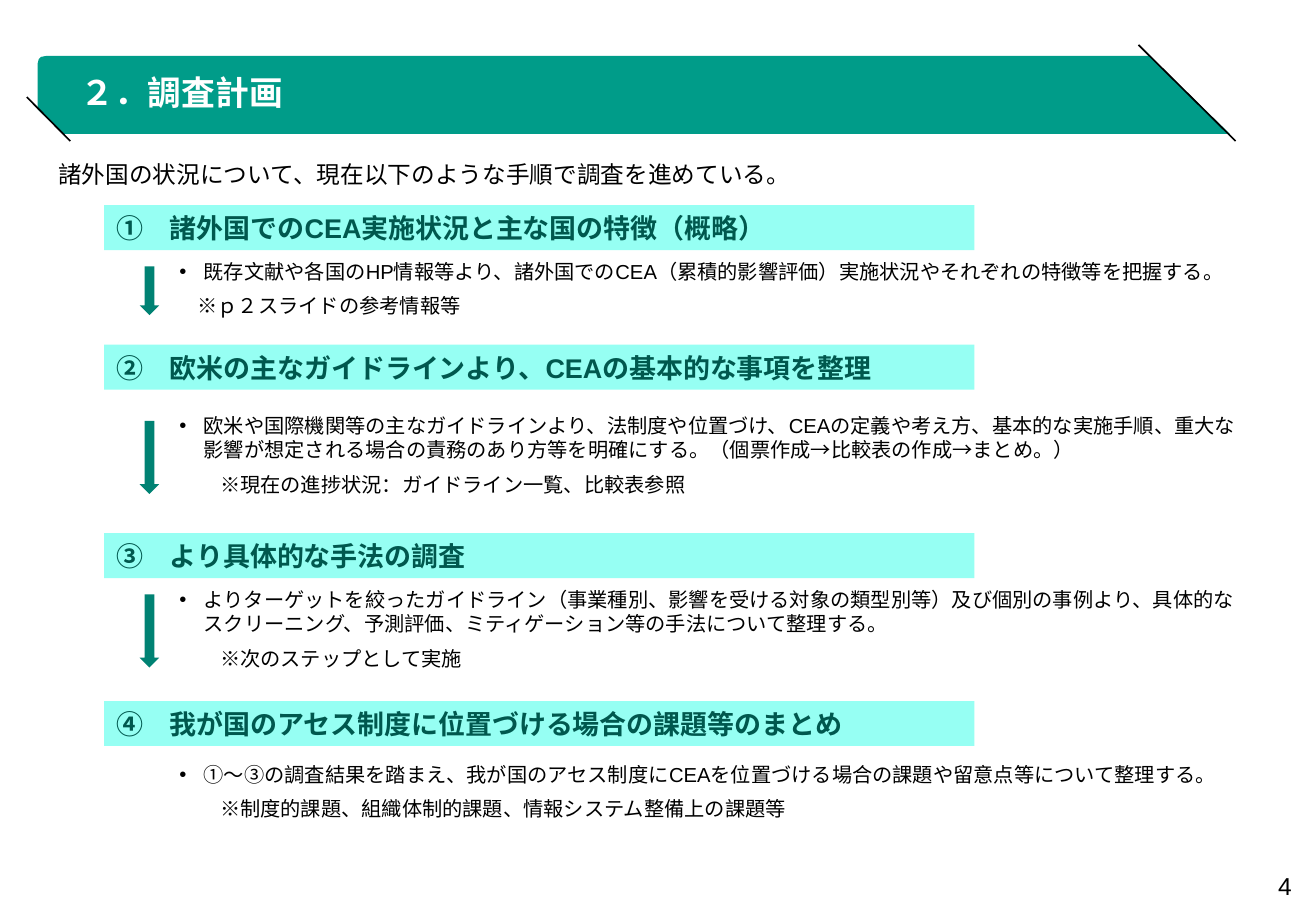
import pptx
import pptx.util
import pptx.dml.color
import pptx.enum.shapes
import pptx.enum.text
import pptx.oxml.ns
from lxml import etree

Cm, Pt = pptx.util.Cm, pptx.util.Pt
MSO_SHAPE = pptx.enum.shapes.MSO_SHAPE
PP_ALIGN = pptx.enum.text.PP_ALIGN
qn = pptx.oxml.ns.qn

COLORS = {"header": "009C89", "band": "96FFF3", "heading": "00584E",
          "arrow": "008273", "text": "000000", "title": "FFFFFF"}
JP_FONT = "Noto Sans CJK JP"
TITLE = {"size": Pt(20), "bold": True, "name": JP_FONT}
LEAD = {"size": Pt(14), "name": "Arial"}
HEADING = {"size": Pt(16), "bold": True, "name": "Arial"}
BODY = {"size": Pt(12), "name": "Arial"}
NUMBER = {"size": Pt(14.5), "name": "Arial"}

BAND_W, BAND_H = 18.19, 0.94
BODY_DX, BODY_W = 1.32, 22.71
ARROW_DX, ARROW_W = 0.74, 0.41
STEPS_LEFT = 2.18

# band top, body top, body height, note indent, heading, body, note
STEPS = [
    (4.29, 5.28, 1.5, 0.38, "①　諸外国でのCEA実施状況と主な国の特徴（概略）",
     "既存文献や各国のHP情報等より、諸外国でのCEA（累積的影響評価）実施状況やそれぞれの特徴等を把握する。",
     "※ｐ２スライドの参考情報等"),
    (7.21, 8.51, 2.01, 0.85, "②　欧米の主なガイドラインより、CEAの基本的な事項を整理",
     "欧米や国際機関等の主なガイドラインより、法制度や位置づけ、CEAの定義や考え方、基本的な実施手順、"
     "重大な影響が想定される場合の責務のあり方等を明確にする。（個票作成→比較表の作成→まとめ。）",
     "※現在の進捗状況：ガイドライン一覧、比較表参照"),
    (11.15, 12.14, 2.01, 0.85, "③　より具体的な手法の調査",
     "よりターゲットを絞ったガイドライン（事業種別、影響を受ける対象の類型別等）及び個別の事例より、"
     "具体的なスクリーニング、予測評価、ミティゲーション等の手法について整理する。",
     "※次のステップとして実施"),
    (14.66, 15.8, 1.5, 0.85, "④　我が国のアセス制度に位置づける場合の課題等のまとめ",
     "①～③の調査結果を踏まえ、我が国のアセス制度にCEAを位置づける場合の課題や留意点等について整理する。",
     "※制度的課題、組織体制的課題、情報システム整備上の課題等"),
]


def rgb(name):
    return pptx.dml.color.RGBColor.from_string(COLORS[name])


def set_frame(sp, **values):
    tf = sp.text_frame
    settings = {"word_wrap": True,
                "vertical_anchor": pptx.enum.text.MSO_ANCHOR.MIDDLE, **values}
    for key, value in settings.items():
        setattr(tf, key, value)
    return tf


def write(p, text, style, color="text", **values):
    for key, value in {"alignment": PP_ALIGN.LEFT, **values}.items():
        setattr(p, key, value)
    r = p.add_run()
    r.text = text
    for key, value in style.items():
        setattr(r.font, key, value)
    r.font.color.rgb = rgb(color)
    ea = etree.SubElement(r.font._element, qn("a:ea"))
    ea.set("typeface", JP_FONT)


def indent(p, left, hanging=0, bullet=None):
    pPr = p._p.get_or_add_pPr()
    pPr.set("marL", str(Cm(left)))
    pPr.set("indent", str(-Cm(hanging)))
    if bullet:
        etree.SubElement(pPr, qn("a:buFont")).set("typeface", "Arial")
        etree.SubElement(pPr, qn("a:buChar")).set("char", bullet)


def paint(sp, color):
    sp.shadow.inherit = False
    sp.fill.solid()
    sp.fill.fore_color.rgb = rgb(color)
    sp.line.fill.background()


def add_box(s, left, top, width, height, **values):
    sp = s.shapes.add_textbox(Cm(left), Cm(top), Cm(width), Cm(height))
    return set_frame(sp, **values)


def add_preset(s, kind, left, top, width, height, color):
    sp = s.shapes.add_shape(kind, Cm(left), Cm(top), Cm(width), Cm(height))
    paint(sp, color)
    return sp


def add_header(s, left, top, width, height):
    """Banner with cut corners, a slash across each cut, and the title."""
    outline = [(0.18, 0), (width - 1.68, 0), (width, height), (0.53, height),
               (0, 1.12), (0, 0.15), (0.02, 0.07), (0.07, 0.02)]
    points = [(Cm(left + x), Cm(top + y)) for x, y in outline]
    builder = s.shapes.build_freeform(*points[0])
    builder.add_line_segments(points[1:], close=True)
    paint(builder.convert_to_shape(), "header")

    for x1, y1, x2, y2 in [(width - 1.91, -0.23, width + 0.12, 1.78),
                           (-0.23, 0.86, 0.68, 1.78)]:
        line = s.shapes.add_connector(
            pptx.enum.shapes.MSO_CONNECTOR.STRAIGHT,
            Cm(left + x1), Cm(top + y1), Cm(left + x2), Cm(top + y2))
        line.line.color.rgb = rgb("text")
        line.line.width = Pt(1)
        etree.SubElement(line._element.spPr, qn("a:effectLst"))

    title = s.shapes.title
    title.left, title.top = Cm(left + 0.18), Cm(top - 0.05)
    title.width, title.height = Cm(width - 1.93), Cm(height)
    tf = set_frame(title, margin_left=Cm(0.71), margin_top=Cm(0.1),
                   margin_right=0, margin_bottom=0)
    write(tf.paragraphs[0], "２．調査計画", TITLE, "title", line_spacing=0.9)
    title.element.getparent().append(title.element)


def add_step(s, left, top, body_top, body_h, note_indent, heading, body, note):
    band = add_preset(s, MSO_SHAPE.RECTANGLE, left, top, BAND_W, BAND_H, "band")
    write(set_frame(band).paragraphs[0], heading, HEADING, "heading")

    tf = add_box(s, left + BODY_DX, body_top, BODY_W, body_h)
    p = tf.paragraphs[0]
    write(p, body, BODY)
    indent(p, 0.51, 0.51, "•")
    p = tf.add_paragraph()
    write(p, note, BODY, space_before=Pt(6))
    indent(p, note_indent)


def add_arrow(s, left, body_top, body_h):
    add_preset(s, MSO_SHAPE.DOWN_ARROW, left + ARROW_DX, body_top + 0.29,
               ARROW_W, body_h - 0.48, "arrow")


def main():
    prs = pptx.Presentation()
    prs.slide_width, prs.slide_height = Cm(27.51), Cm(19.05)
    s = prs.slides.add_slide(prs.slide_layouts[5])

    add_header(s, 0.79, 1.17, 24.92, 1.63)
    lead = add_box(s, 0.97, 3.2, 22.71, 0.86)
    write(lead.paragraphs[0],
          "諸外国の状況について、現在以下のような手順で調査を進めている。",
          LEAD, space_after=Pt(6))
    for step in STEPS:
        add_step(s, STEPS_LEFT, *step)
    for _, body_top, body_h, *_ in STEPS[:-1]:
        add_arrow(s, STEPS_LEFT, body_top, body_h)

    number = add_box(s, 26.57, 18.29, 0.58, 0.48, word_wrap=False,
                     margin_left=0, margin_top=0, margin_right=0, margin_bottom=0)
    write(number.paragraphs[0], "4", NUMBER, alignment=PP_ALIGN.CENTER)
    prs.save("out.pptx")


if __name__ == "__main__":
    main()
